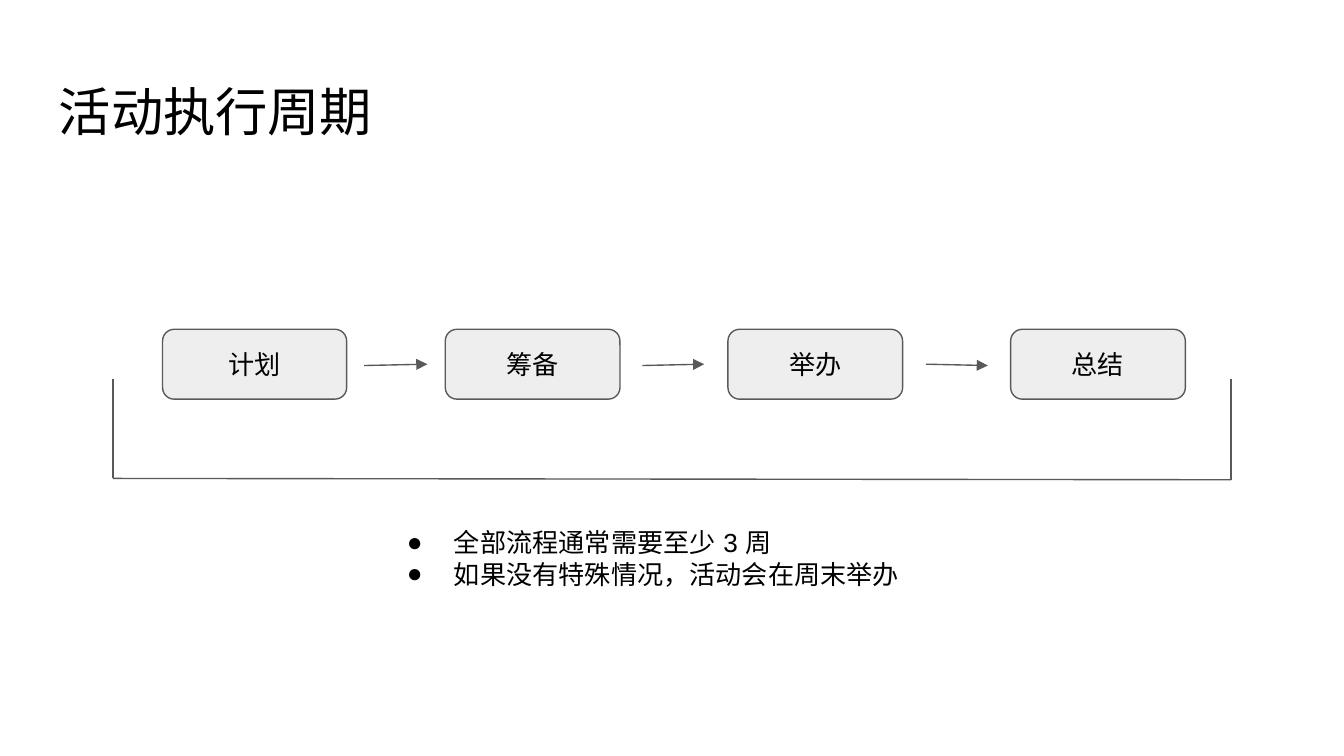
from dataclasses import dataclass

import lxml.etree
import pptx
import pptx.dml.color
import pptx.enum.shapes
import pptx.enum.text
import pptx.oxml.ns
import pptx.util

Inches = pptx.util.Inches
Pt = pptx.util.Pt
qn = pptx.oxml.ns.qn

COLORS = {"text": "000000", "box": "EEEEEE", "line": "595959"}
FONT = "Arial"
SLIDE_WIDTH = 10


@dataclass
class Step:
    label: str
    width: float = 1.3


@dataclass
class Line:
    start: tuple[float, float]
    end: tuple[float, float]
    arrow: bool = False


STEPS = [Step("计划", 1.37), Step("筹备"), Step("举办"), Step("总结")]
FIRST_LEFT, LAST_LEFT = 1.21, 7.52
STEP_PITCH = (LAST_LEFT - FIRST_LEFT) / (len(STEPS) - 1)
STEP_TOP, STEP_HEIGHT = 2.45, 0.52

ARROWS = [
    Line((2.71, 2.72), (3.18, 2.71), arrow=True),
    Line((4.78, 2.72), (5.24, 2.71), arrow=True),
    Line((6.89, 2.71), (7.35, 2.72), arrow=True),
]
BRACKET = [
    Line((0.84, 3.56), (0.84, 2.82)),
    Line((0.84, 3.56), (9.16, 3.57)),
    Line((9.16, 3.57), (9.16, 2.82)),
]
NOTES = ["全部流程通常需要至少 3 周", "如果没有特殊情况，活动会在周末举办"]


def color(name: str) -> pptx.dml.color.RGBColor:
    return pptx.dml.color.RGBColor.from_string(COLORS[name])


def write_text(shape, text: str, size: float) -> None:
    frame = shape.text_frame
    frame.word_wrap = True
    frame.margin_left = frame.margin_right = Inches(0.1)
    frame.margin_top = frame.margin_bottom = Inches(0.1)
    frame.text = text
    for paragraph in frame.paragraphs:
        for run in paragraph.runs:
            run.font.size = Pt(size)
            run.font.name = FONT
            run.font.color.rgb = color("text")
            for tag in ("a:ea", "a:cs"):
                lxml.etree.SubElement(run.font._element, qn(tag), typeface=FONT)


def add_text(slide, left: float, top: float, width: float, height: float,
             text: str, size: float):
    box = slide.shapes.add_textbox(Inches(left), Inches(top), Inches(width), Inches(height))
    write_text(box, text, size)
    return box


def add_step(slide, step: Step, left: float) -> None:
    shape = slide.shapes.add_shape(
        pptx.enum.shapes.MSO_SHAPE.ROUNDED_RECTANGLE,
        Inches(left), Inches(STEP_TOP), Inches(step.width), Inches(STEP_HEIGHT))
    shape.shadow.inherit = False
    shape.fill.solid()
    shape.fill.fore_color.rgb = color("box")
    shape.line.color.rgb = color("line")
    shape.line.width = Pt(0.75)
    write_text(shape, step.label, 14)
    shape.text_frame.vertical_anchor = pptx.enum.text.MSO_ANCHOR.MIDDLE
    shape.text_frame.paragraphs[0].alignment = pptx.enum.text.PP_ALIGN.CENTER


def add_line(shapes, line: Line) -> None:
    connector = shapes.add_connector(
        pptx.enum.shapes.MSO_CONNECTOR.STRAIGHT,
        *(Inches(value) for value in line.start + line.end))
    connector.line.color.rgb = color("line")
    connector.line.width = Pt(0.75)
    properties = connector._element.spPr
    if line.arrow:
        lxml.etree.SubElement(properties.find(qn("a:ln")), qn("a:tailEnd"), type="triangle")
    lxml.etree.SubElement(properties, qn("a:effectLst"))


def add_bullet(paragraph) -> None:
    properties = paragraph._p.get_or_add_pPr()
    properties.set("marL", str(Inches(0.5)))
    properties.set("indent", str(Inches(-0.35)))
    bullet_color = lxml.etree.SubElement(properties, qn("a:buClr"))
    lxml.etree.SubElement(bullet_color, qn("a:srgbClr"), val=COLORS["text"])
    lxml.etree.SubElement(properties, qn("a:buSzPts"), val="1400")
    lxml.etree.SubElement(properties, qn("a:buFont"), typeface=FONT)
    lxml.etree.SubElement(properties, qn("a:buChar"), char="●")


def main() -> None:
    presentation = pptx.Presentation()
    presentation.slide_width = Inches(SLIDE_WIDTH)
    presentation.slide_height = Inches(SLIDE_WIDTH * 9 / 16)
    slide = presentation.slides.add_slide(presentation.slide_layouts[6])

    add_text(slide, 0.34, 0.49, 9.32, 0.63, "活动执行周期", 28)
    for index, step in enumerate(STEPS):
        add_step(slide, step, FIRST_LEFT + index * STEP_PITCH)
    for arrow in ARROWS:
        add_line(slide.shapes, arrow)

    bracket = slide.shapes.add_group_shape()
    for line in BRACKET:
        add_line(bracket.shapes, line)

    notes = add_text(slide, 2.78, 3.82, 4.46, 1.38, "\n".join(NOTES), 14)
    for paragraph in notes.text_frame.paragraphs:
        add_bullet(paragraph)

    presentation.save("out.pptx")


if __name__ == "__main__":
    main()
